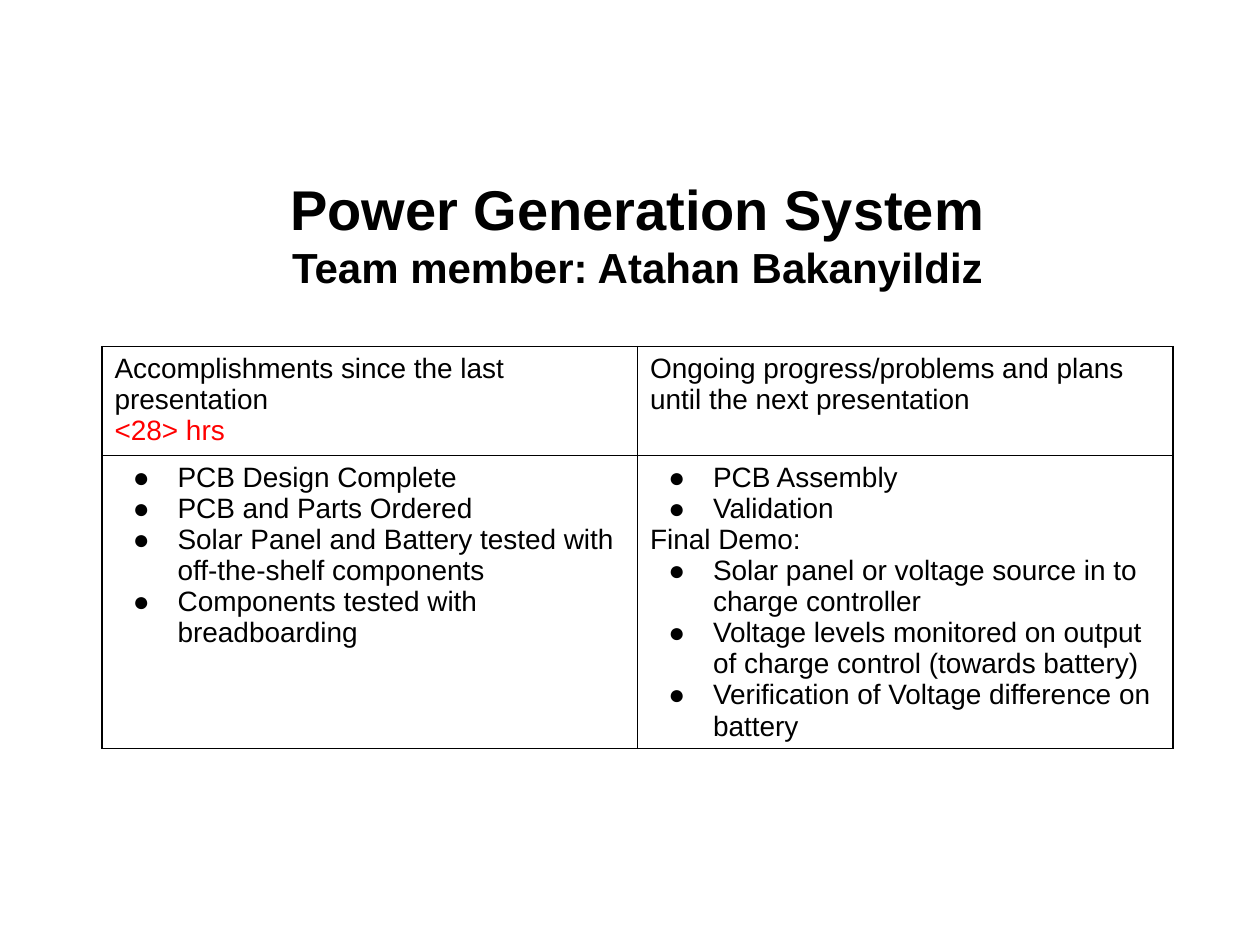
from lxml.etree import SubElement
from pptx import Presentation
from pptx.dml.color import RGBColor
from pptx.enum.text import MSO_ANCHOR, PP_ALIGN
from pptx.oxml.ns import qn
from pptx.util import Pt

BLACK = RGBColor(0, 0, 0)
RED = RGBColor(255, 0, 0)
FONT = "Arial"
BULLET = "●"

TITLE_LINES = [("Power Generation System", 32), ("Team member: Atahan Bakanyildiz", 24)]

STATUS_ROWS = [
    [
        [("Accomplishments since the last presentation", False, BLACK), ("<28> hrs", False, RED)],
        [("Ongoing progress/problems and plans until the next presentation", False, BLACK)],
    ],
    [
        [
            ("PCB Design Complete", True, BLACK),
            ("PCB and Parts Ordered", True, BLACK),
            ("Solar Panel and Battery tested with off-the-shelf components", True, BLACK),
            ("Components tested with breadboarding", True, BLACK),
        ],
        [
            ("PCB Assembly", True, BLACK),
            ("Validation", True, BLACK),
            ("Final Demo:", False, BLACK),
            ("Solar panel or voltage source in to charge controller", True, BLACK),
            ("Voltage levels monitored on output of charge control (towards battery)", True, BLACK),
            ("Verification of Voltage difference on battery", True, BLACK),
        ],
    ],
]
ROW_HEIGHTS = [62.4, 162.9]


def style_font(paragraph, size, color, bold=False):
    font = paragraph.font
    font.name = FONT
    font.size = Pt(size)
    font.bold = bold
    font.color.rgb = color


def add_bullet(paragraph):
    properties = paragraph._p.get_or_add_pPr()
    properties.set("marL", str(Pt(36)))
    properties.set("indent", str(Pt(-25.6)))
    color = SubElement(properties, qn("a:buClr"))
    SubElement(color, qn("a:srgbClr"), val=str(BLACK))
    SubElement(properties, qn("a:buFont"), typeface=FONT)
    SubElement(properties, qn("a:buChar"), char=BULLET)


def add_borders(cell):
    properties = cell._tc.get_or_add_tcPr()
    for side in ("lnL", "lnR", "lnT", "lnB"):
        line = SubElement(properties, qn(f"a:{side}"), w=str(Pt(1)))
        fill = SubElement(line, qn("a:solidFill"))
        SubElement(fill, qn("a:srgbClr"), val=str(BLACK))


def add_paragraphs(text_frame, count):
    for _ in range(count - 1):
        text_frame.add_paragraph()
    return text_frame.paragraphs


def add_title(slide, left, top, width, height):
    shape = slide.shapes.add_textbox(Pt(left), Pt(top), Pt(width), Pt(height))
    text_frame = shape.text_frame
    text_frame.word_wrap = True
    text_frame.vertical_anchor = MSO_ANCHOR.MIDDLE
    paragraphs = add_paragraphs(text_frame, len(TITLE_LINES))
    for paragraph, (text, size) in zip(paragraphs, TITLE_LINES):
        paragraph.text = text
        paragraph.alignment = PP_ALIGN.CENTER
        style_font(paragraph, size, BLACK, bold=True)


def fill_cell(cell, items):
    add_borders(cell)
    cell.fill.background()
    paragraphs = add_paragraphs(cell.text_frame, len(items))
    for paragraph, (text, bulleted, color) in zip(paragraphs, items):
        paragraph.text = text
        if bulleted:
            add_bullet(paragraph)
        style_font(paragraph, 16, color)


def add_status_table(slide, left, top, width, height):
    frame = slide.shapes.add_table(
        len(STATUS_ROWS), len(STATUS_ROWS[0]), Pt(left), Pt(top), Pt(width), Pt(height)
    )
    table = frame.table
    table.first_row = False
    table.horz_banding = False
    for row, row_height, contents in zip(table.rows, ROW_HEIGHTS, STATUS_ROWS):
        row.height = Pt(row_height)
        for cell, items in zip(row.cells, contents):
            fill_cell(cell, items)


def main():
    presentation = Presentation()
    presentation.slide_width = Pt(720)
    presentation.slide_height = Pt(540)
    slide = presentation.slides.add_slide(presentation.slide_layouts[6])
    add_status_table(slide, 58.3, 198, 612, sum(ROW_HEIGHTS))
    add_title(slide, 40.3, 80.6, 648, 105.8)
    presentation.save("out.pptx")


if __name__ == "__main__":
    main()
